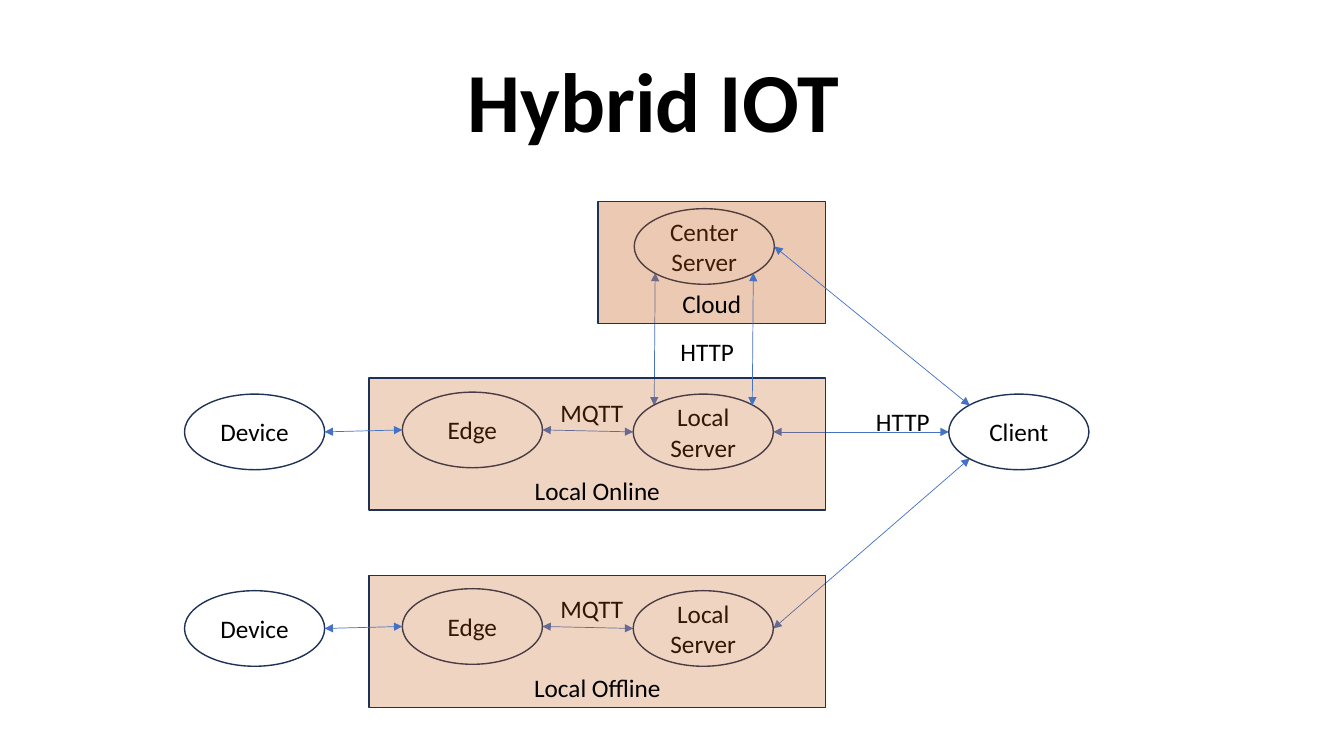
from dataclasses import dataclass

from lxml import etree
from pptx import Presentation
from pptx import util as u
from pptx.dml.color import RGBColor
from pptx.enum import shapes, text
from pptx.oxml.ns import qn


@dataclass(frozen=True)
class Theme:
    font: str = "Calibri"
    title_size: int = 60
    body_size: int = 18
    ink: RGBColor = RGBColor.from_string("000000")
    outline: RGBColor = RGBColor.from_string("1E3256")
    arrow: RGBColor = RGBColor.from_string("4472C4")
    zone: RGBColor = RGBColor.from_string("C55A11")


theme = Theme()

# Grid in inches: columns from left to right, rows from top to bottom
DEVICE, EDGE, SERVER, CLIENT = 1.83, 3.99, 6.28, 9.41
CLOUD, ONLINE, OFFLINE = 2.07, 3.91, 5.86
NODE_W, NODE_H = 1.39, 0.75
DIAGONAL = 0.35  # share of an ellipse's size from its centre to a diagonal site

nodes = {
    "online server": ("Local Server", SERVER, ONLINE),
    "client": ("Client", CLIENT, ONLINE),
    "online edge": ("Edge", EDGE, ONLINE - 0.02),
    "center": ("Center Server", SERVER + 0.01, CLOUD),
    "offline server": ("Local Server", SERVER, OFFLINE),
    "offline edge": ("Edge", EDGE, OFFLINE - 0.02),
    "online device": ("Device", DEVICE, ONLINE),
    "offline device": ("Device", DEVICE, OFFLINE),
}
sites = {
    "left": (-0.5, 0), "right": (0.5, 0),
    "top left": (-DIAGONAL, -DIAGONAL), "top right": (DIAGONAL, -DIAGONAL),
    "bottom left": (-DIAGONAL, DIAGONAL), "bottom right": (DIAGONAL, DIAGONAL),
}
links_behind_zones = [
    ("online server", "top left", "center", "bottom left"),
    ("online edge", "right", "online server", "left"),
    ("online server", "right", "client", "left"),
    ("offline edge", "right", "offline server", "left"),
    ("offline server", "right", "client", "bottom left"),
]
links_in_front = [
    ("center", "right", "client", "top left"),
    ("online device", "right", "online edge", "left"),
    ("offline device", "right", "offline edge", "left"),
    ("online server", "top right", "center", "bottom right"),
]
labels = [
    ("MQTT", 5.46, ONLINE - 0.02, 0.85),
    ("MQTT", 5.46, OFFLINE - 0.02, 0.85),
    ("HTTP", 8.59, 3.98, 0.8),
    ("HTTP", 6.65, 3.29, 0.98),
]
zones = [
    ("Local Online", 3.66, 3.75, 4.53, 1.31, 26),
    ("Cloud", 5.93, 2, 2.26, 1.21, 32),
    ("Local Offline", 3.66, 5.71, 4.53, 1.31, 26),
]


def write(shape, words, align, size=theme.body_size):
    frame = shape.text_frame
    frame.word_wrap = True
    frame.text = words
    para = frame.paragraphs[0]
    para.alignment = align
    para.font.name = theme.font
    para.font.size = u.Pt(size)
    para.font.color.rgb = theme.ink
    return para


def draw_links(links):
    for start, start_site, end, end_site in links:
        ends = []
        for node, site in ((start, start_site), (end, end_site)):
            _, left, top = nodes[node]
            across, down = sites[site]
            ends += [u.Inches(left + NODE_W * (0.5 + across)),
                     u.Inches(top + NODE_H * (0.5 + down))]
        link = page.shapes.add_connector(shapes.MSO_CONNECTOR.STRAIGHT, *ends)
        link.line.color.rgb = theme.arrow
        link.line.width = u.Pt(0.5)
        stroke = link.line._get_or_add_ln()
        for arrowhead in ("a:headEnd", "a:tailEnd"):
            etree.SubElement(stroke, qn(arrowhead), type="triangle")
        etree.SubElement(link._element.spPr, qn("a:effectLst"))


deck = Presentation()
deck.slide_width, deck.slide_height = u.Inches(13.33), u.Inches(7.5)
page = deck.slides.add_slide(deck.slide_layouts.get_by_name("Title Only"))

title = page.shapes.title
title.left, title.top = u.Inches(0.73), u.Inches(0.09)
title.width, title.height = u.Inches(11.5), u.Inches(1.45)
heading = write(title, "Hybrid IOT", text.PP_ALIGN.CENTER, theme.title_size)
heading.font.bold = True
heading.line_spacing = 0.9
title.text_frame.vertical_anchor = text.MSO_ANCHOR.BOTTOM

draw_links(links_behind_zones)

for words, left, top in nodes.values():
    node = page.shapes.add_shape(
        shapes.MSO_SHAPE.OVAL, *map(u.Inches, (left, top, NODE_W, NODE_H)))
    node.shadow.inherit = False
    node.fill.background()
    node.line.color.rgb = theme.outline
    node.line.width = u.Pt(1)
    write(node, words, text.PP_ALIGN.CENTER)
    node.text_frame.vertical_anchor = text.MSO_ANCHOR.MIDDLE

for words, left, top, width in labels:
    label = page.shapes.add_textbox(*map(u.Inches, (left, top, width, 0.4)))
    write(label, words, text.PP_ALIGN.LEFT)

for words, left, top, width, height, opacity in zones:
    zone = page.shapes.add_shape(
        shapes.MSO_SHAPE.RECTANGLE, *map(u.Inches, (left, top, width, height)))
    zone.shadow.inherit = False
    zone.fill.solid()
    zone.fill.fore_color.rgb = theme.zone
    tint = zone._element.spPr.find(qn("a:solidFill")).find(qn("a:srgbClr"))
    etree.SubElement(tint, qn("a:alpha"), val=str(opacity * 1000))
    zone.line.color.rgb = theme.outline
    zone.line.width = u.Pt(1)
    write(zone, words, text.PP_ALIGN.CENTER)
    zone.text_frame.vertical_anchor = text.MSO_ANCHOR.BOTTOM

draw_links(links_in_front)

deck.save("out.pptx")
